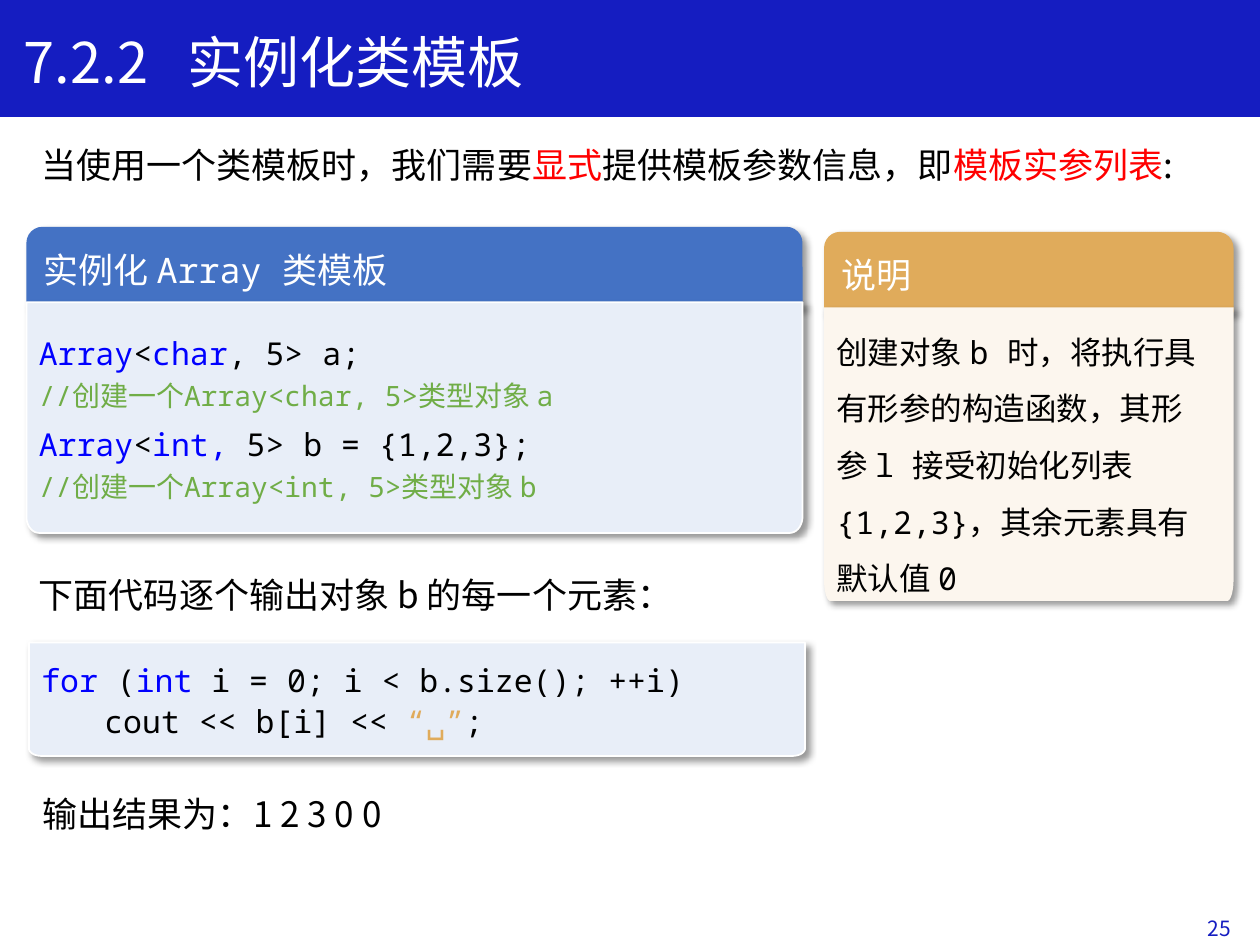
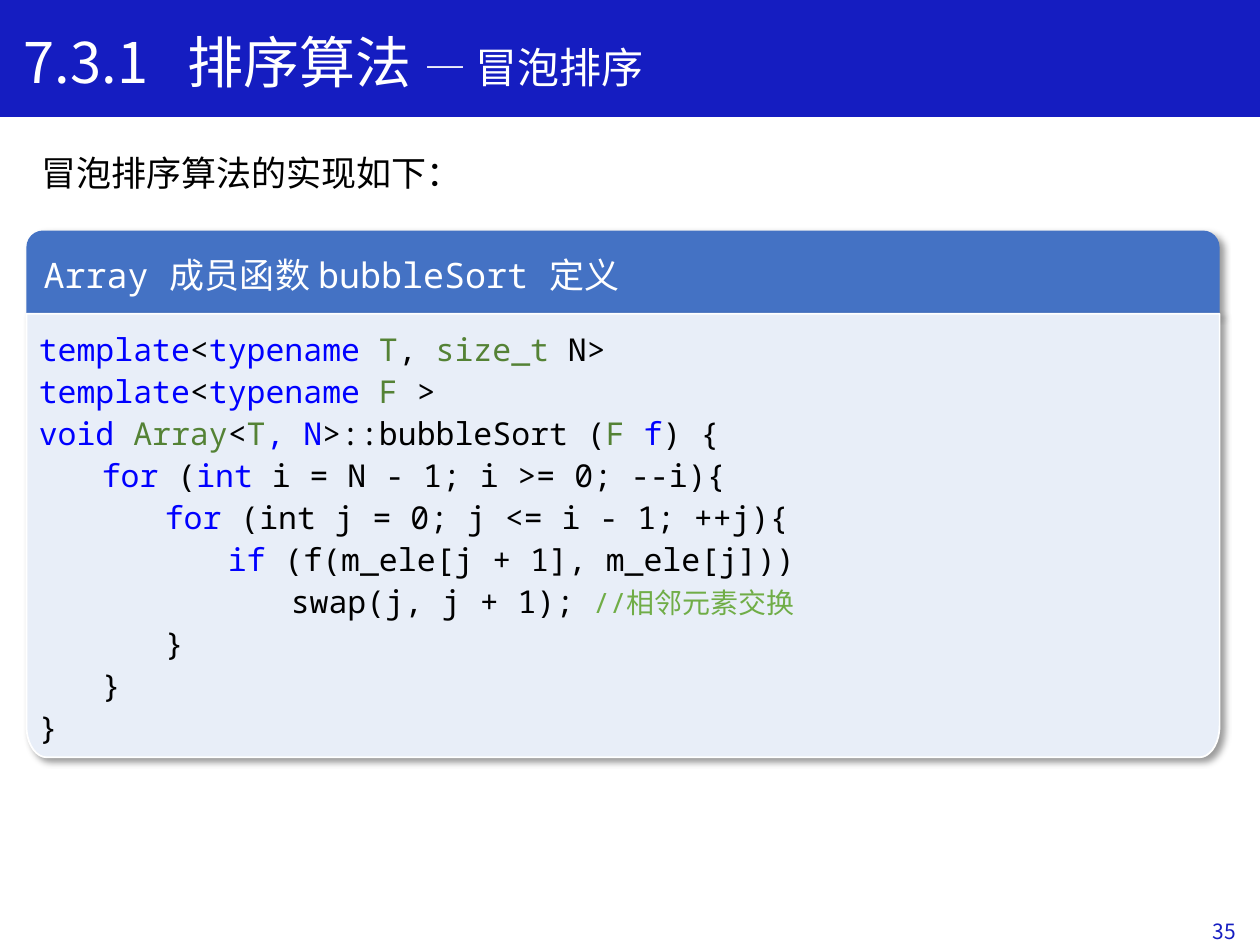
import math

from lxml import etree
from pptx import Presentation
from pptx import util as u
from pptx.dml.color import RGBColor
from pptx.enum import shapes, text
from pptx.oxml import ns

COLUMNS, ROWS = 10, 7.5
CELL = u.Inches(1)
SANS, MONO = "Noto Sans CJK SC", "Noto Sans Mono"
BAND, BLUE, GOLD = "151DC1", "4472C4", "E0AB5B"
PALE_BLUE, PALE_GOLD = "E8EEF8", "FCF6EE"
BLACK, WHITE, RED = "000000", "FFFFFF", "FF0000"
KEYWORD, TYPE, COMMENT = "0000FF", "548235", "70AD47"
TAB_STEP, TITLE_TAB = 0.5, 1.3

INSTANCES = [
    [("Array", KEYWORD), ("<", BLACK), ("char", KEYWORD), (", 5> a;", BLACK)],
    [("//创建一个Array<char, 5>类型对象 a", COMMENT, 16)],
    [("Array", KEYWORD), ("<", BLACK), ("int, ", KEYWORD), ("5> b = {1,2,3};", BLACK)],
    [("//创建一个Array<int, 5>类型对象 b", COMMENT, 16)],
]
OUTPUT_LOOP = [
    [("for ", KEYWORD), ("(", BLACK), ("int ", KEYWORD), ("i = 0; i < b.size(); ++i)", BLACK)],
    [("\tcout << b[i] << ", BLACK), ("“␣”", GOLD), (";", BLACK)],
]
EXPLANATION = [
    "创建对象 b 时，将执行具",
    "有形参的构造函数，其形",
    "参 l 接受初始化列表",
    "{1,2,3}，其余元素具有",
    "默认值 0",
]
BUBBLE_SORT = [
    [("template", KEYWORD), ("<", BLACK), ("typename ", KEYWORD), ("T", TYPE), (", ", BLACK),
     ("size_t ", TYPE), ("N>", BLACK)],
    [("template", KEYWORD), ("<", BLACK), ("typename ", KEYWORD), ("F ", TYPE), (">", BLACK)],
    [("void ", KEYWORD), ("Array", TYPE), ("<", BLACK), ("T", TYPE), (", N", KEYWORD),
     (">::bubbleSort (", BLACK), ("F", TYPE), (" f", KEYWORD), (") {", BLACK)],
    [("\tfor ", KEYWORD), ("(", BLACK), ("int ", KEYWORD), ("i = N - 1; i >= 0; --i){", BLACK)],
    [("\t\tfor ", KEYWORD), ("(int j = 0; j <= i - 1; ++j){", BLACK)],
    [("\t\t\tif ", KEYWORD), ("(f(m_ele[j + 1], m_ele[j]))", BLACK)],
    [("\t\t\t\tswap(j, j + 1); ", BLACK), ("//相邻元素交换", COMMENT, 16)],
    [("\t\t}", BLACK)],
    [("\t}", BLACK)],
    [("}", BLACK)],
]


def rgb(color):
    """Turn a hex string into a colour."""
    return RGBColor.from_string(color)


def grid(*cells):
    """Convert grid columns and rows to slide lengths."""
    return [u.Emu(round(cell * CELL)) for cell in cells]


def set_all(target, formats):
    """Set every attribute given in a dict of format values."""
    for name, value in formats.items():
        setattr(target, name, value)


def add_tabs(paragraph, positions):
    """Add left tab stops at the given columns."""
    tabs = etree.SubElement(paragraph._p.get_or_add_pPr(), ns.qn("a:tabLst"))
    for position in grid(*positions):
        etree.SubElement(tabs, ns.qn("a:tab"), pos=str(position), algn="l")


def add_run(paragraph, words, color, size, font):
    """Add one run with Latin and East Asian fonts."""
    run = paragraph.add_run()
    run.text = words
    run.font.color.rgb = rgb(color)
    set_all(run.font, {"name": font, "size": u.Pt(size)})
    etree.SubElement(run._r.get_or_add_rPr(), ns.qn("a:ea"), typeface=SANS)


def write(shape, lines, size, font=SANS, anchor=text.MSO_ANCHOR.TOP, tabs=(), formats=None):
    """Write lines of (words, colour, optional size) runs into a shape."""
    frame = shape.text_frame
    set_all(frame, {"word_wrap": True, "vertical_anchor": anchor})
    for number, line in enumerate(lines):
        paragraph = frame.paragraphs[0] if number == 0 else frame.add_paragraph()
        set_all(paragraph, {"alignment": text.PP_ALIGN.LEFT, **(formats or {})})
        if tabs:
            add_tabs(paragraph, tabs)
        for words, color, *own_size in line:
            add_run(paragraph, words, color, own_size[0] if own_size else size, font)


def add_text(slide, box, runs, size=20, **options):
    """Add a text box holding one line."""
    shape = slide.shapes.add_textbox(*grid(*box))
    write(shape, [runs], size, **options)
    return shape


def paint(shape, fill, line=None):
    """Give a shape a plain fill and an optional one-point line."""
    shape.shadow.inherit = False
    shape.fill.solid()
    shape.fill.fore_color.rgb = rgb(fill)
    if line:
        shape.line.color.rgb = rgb(line)
        shape.line.width = u.Pt(1)
    else:
        shape.line.fill.background()


def add_shadow(shape):
    """Cast a soft shadow to the lower right."""
    effects = shape._element.spPr.find(ns.qn("a:effectLst"))
    shadow = etree.SubElement(
        effects, ns.qn("a:outerShdw"), blurRad=str(u.Pt(4)), dist=str(u.Pt(3)),
        dir=str(45 * 60000), algn="tl", rotWithShape="0")
    color = etree.SubElement(shadow, ns.qn("a:srgbClr"), val=BLACK)
    etree.SubElement(color, ns.qn("a:alpha"), val="40000")


def add_header(slide, box, words, color, font=MONO):
    """Add a panel header with rounded top corners."""
    shape = slide.shapes.add_shape(shapes.MSO_SHAPE.ROUND_2_SAME_RECTANGLE, *grid(*box))
    shape.adjustments[0], shape.adjustments[1] = 0.2, 0
    paint(shape, color)
    add_shadow(shape)
    write(shape, [[(words, WHITE)]], 20, font, text.MSO_ANCHOR.MIDDLE)


def add_body(slide, box, corner, fill, line=None):
    """Add a panel body with elliptical bottom corners."""
    left, top, width, height = box
    radius_x, radius_y = corner
    right, base = left + width, top + height - radius_y
    angles = [math.radians(degrees) for degrees in range(0, 91, 10)]
    arc = [(radius_x * math.cos(angle), radius_y * math.sin(angle)) for angle in angles]
    outline = [(right, top)]
    outline += [(right - radius_x + x, base + y) for x, y in arc]
    outline += [(left + radius_x - x, base + y) for x, y in reversed(arc)]
    builder = slide.shapes.build_freeform(*grid(left, top))
    builder.add_line_segments([grid(*point) for point in outline], close=True)
    shape = builder.convert_to_shape()
    paint(shape, fill, line)
    add_shadow(shape)
    return shape


def add_code(slide, box, corner, lines, spacing):
    """Add a pale blue panel of source code."""
    shape = add_body(slide, box, corner, PALE_BLUE, WHITE)
    stops = [TAB_STEP * step for step in range(1, 5)]
    write(shape, lines, 18, MONO, text.MSO_ANCHOR.MIDDLE, stops, {"line_spacing": u.Pt(spacing)})
    return shape


def start_slide(presentation, title, number, number_at):
    """Add a blank slide with title band, title and page number."""
    slide = presentation.slides.add_slide(presentation.slide_layouts[6])
    band = slide.shapes.add_shape(shapes.MSO_SHAPE.RECTANGLE, *grid(0, 0, COLUMNS, 0.92))
    paint(band, BAND, BAND)
    add_text(slide, (*number_at, 2.25, 0.4), [(number, BAND)], 12,
             anchor=text.MSO_ANCHOR.MIDDLE, formats={"alignment": text.PP_ALIGN.RIGHT})
    add_text(slide, (0.09, 0.17, 9.31, 0.64), title, 32, tabs=[TITLE_TAB])
    return slide


def build_instantiation(presentation):
    """Build the slide on instantiating a class template."""
    slide = start_slide(presentation, [("7.2.2\t实例化类模板", WHITE)], "25", (7.62, 7.17))
    add_text(slide, (0.23, 1.09, 9.4, 0.44), [
        ("当使用一个类模板时，我们需要", BLACK), ("显式", RED),
        ("提供模板参数信息，即", BLACK), ("模板实参列表", RED), (":", BLACK)])
    add_header(slide, (0.21, 1.8, 6.16, 0.64), "实例化 Array 类模板", BLUE)
    instances = add_code(slide, (0.21, 2.4, 6.16, 1.83), (0.1, 0.13), INSTANCES, 23)
    instances.text_frame.paragraphs[2].space_before = u.Pt(6)
    add_code(slide, (0.23, 5.1, 6.16, 0.9), (0.1, 0.06), OUTPUT_LOOP, 23)
    add_header(slide, (6.54, 1.84, 3.25, 0.64), "说明", GOLD, SANS)
    explanation = add_body(slide, (6.54, 2.44, 3.25, 2.33), (0.05, 0.17), PALE_GOLD)
    write(explanation, [[(line, BLACK)] for line in EXPLANATION], 18, MONO,
          formats={"line_spacing": 1.5})
    add_text(slide, (0.21, 4.5, 6.01, 0.44), [("下面代码逐个输出对象 b 的每一个元素：", BLACK)])
    add_text(slide, (0.24, 6.24, 6.01, 0.44), [("输出结果为：1 2 3 0 0", BLACK)])


def build_bubble_sort(presentation):
    """Build the slide on the bubble sort algorithm."""
    title = [("7.3.1\t排序算法 ", WHITE), ("— 冒泡排序", WHITE, 24)]
    slide = start_slide(presentation, title, "35", (7.66, 7.19))
    add_text(slide, (0.23, 1.15, 9.56, 0.44), [("冒泡排序算法的实现如下：", BLACK)])
    add_header(slide, (0.21, 1.83, 9.47, 0.66), "Array 成员函数 bubbleSort 定义", BLUE)
    add_code(slide, (0.21, 2.49, 9.47, 3.52), (0.16, 0.25), BUBBLE_SORT, 24)


def main():
    """Build and save the presentation."""
    presentation = Presentation()
    presentation.slide_width, presentation.slide_height = grid(COLUMNS, ROWS)
    build_instantiation(presentation)
    build_bubble_sort(presentation)
    presentation.save("out.pptx")


if __name__ == "__main__":
    main()
